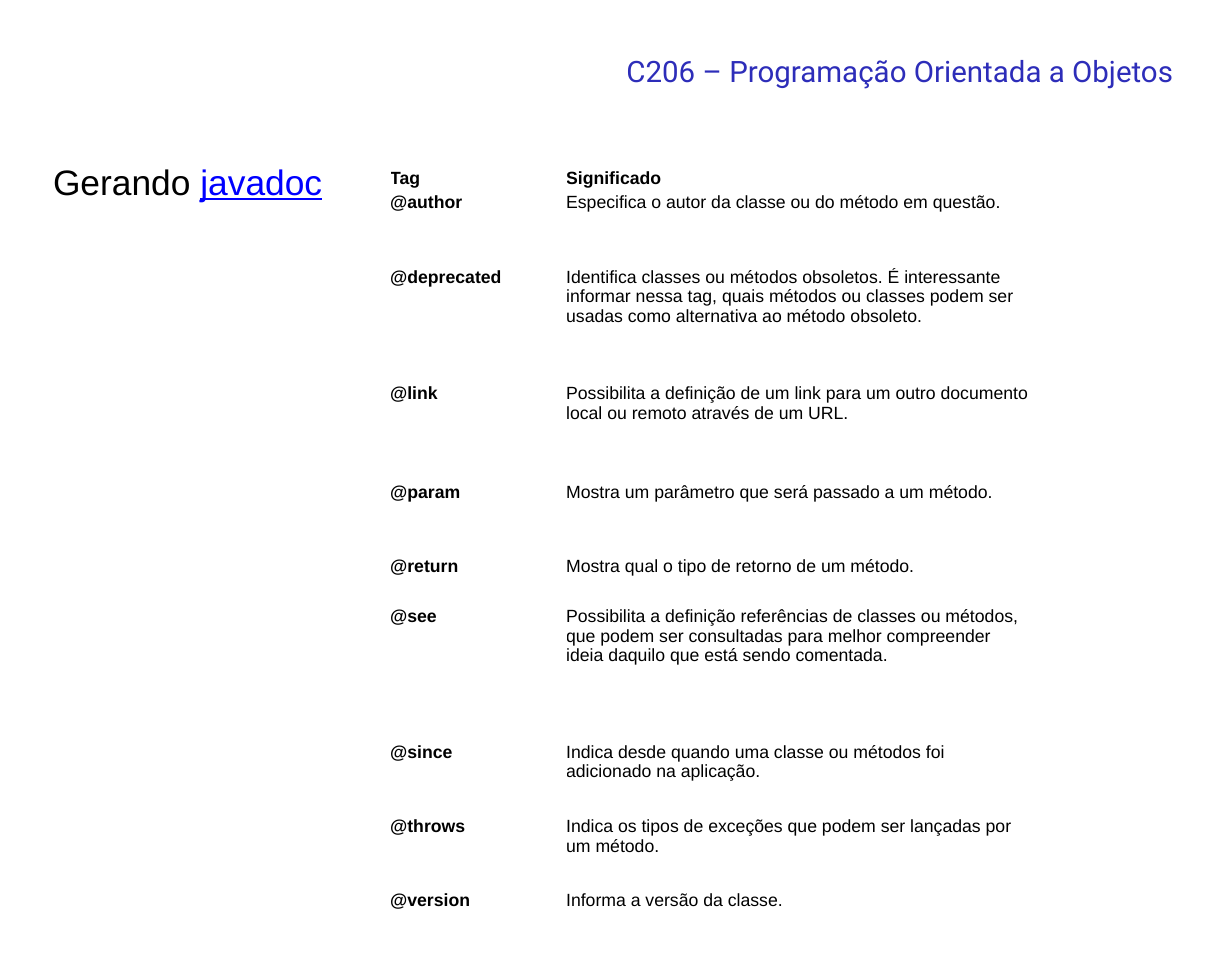
"""Build the javadoc tags slide."""
from typing import NamedTuple

from pptx import Presentation
from pptx.dml.color import RGBColor
from pptx.enum.text import MSO_ANCHOR, MSO_AUTO_SIZE, PP_ALIGN
from pptx.util import Inches, Pt

COLORS = {"text": "000000", "course": "2D2DB9", "link": "0000FF"}
COLUMN_WIDTHS = (1.66, 4.37)


class TagRow(NamedTuple):
    """One table row: tag, meaning and height in inches."""
    tag: str
    meaning: str
    height: float


ROWS = [
    TagRow("Tag", "Significado", 0.23),
    TagRow("@author", "Especifica o autor da classe ou do método em questão.", 0.7),
    TagRow("@deprecated", "Identifica classes ou métodos obsoletos. É interessante informar "
           "nessa tag, quais métodos ou classes podem ser usadas como alternativa ao método "
           "obsoleto.", 1.1),
    TagRow("@link", "Possibilita a definição de um link para um outro documento local ou "
           "remoto através de um URL.", 0.93),
    TagRow("@param", "Mostra um parâmetro que será passado a um método.", 0.7),
    TagRow("@return", "Mostra qual o tipo de retorno de um método.", 0.47),
    TagRow("@see", "Possibilita a definição referências de classes ou métodos, que podem ser "
           "consultadas para melhor compreender     ideia daquilo que está sendo "
           "comentada.", 1.28),
    TagRow("@since", "Indica desde quando uma classe ou métodos foi adicionado na aplicação.", 0.7),
    TagRow("@throws", "Indica os tipos de exceções que podem ser lançadas por um método.", 0.7),
    TagRow("@version", "Informa a versão da classe.", 0.23),
]


def format_span(span, size: float, color: str, name: str = "Arial", bold: bool = False) -> None:
    """Set the font of one run."""
    span.font.name = name
    span.font.size = Pt(size)
    span.font.bold = bold
    span.font.color.rgb = RGBColor.from_string(COLORS[color])


def add_course_name(page) -> None:
    """Write the course name at the top right."""
    box = page.shapes.add_textbox(Inches(5.81), Inches(0.45), Inches(5.76), Inches(0.43))
    box.text_frame.word_wrap = True
    box.text_frame.text = "C206 – Programação Orientada a Objetos"
    format_span(box.text_frame.paragraphs[0].runs[0], 20, "course", "Roboto")


def set_title(page) -> None:
    """Place and format the slide title."""
    title = page.shapes.title
    title.left, title.top = Inches(0.4), Inches(1.46)
    title.width, title.height = Inches(10.82), Inches(0.5)
    frame = title.text_frame
    frame.auto_size = MSO_AUTO_SIZE.NONE
    frame.vertical_anchor = MSO_ANCHOR.TOP
    para = frame.paragraphs[0]
    para.alignment = PP_ALIGN.JUSTIFY
    for text, color in (("Gerando ", "text"), ("javadoc", "link")):
        span = para.add_run()
        span.text = text
        format_span(span, 24, color)
        span.font.underline = color == "link"


def fill_cell(cell, text: str, bold: bool) -> None:
    """Write one table cell without margins or fill."""
    cell.margin_left = cell.margin_top = cell.margin_right = cell.margin_bottom = 0
    cell.fill.background()
    cell.text_frame.text = text
    format_span(cell.text_frame.paragraphs[0].runs[0], 12, "text", bold=bold)


def add_tag_table(page) -> None:
    """Add the table of javadoc tags."""
    table = page.shapes.add_table(
        len(ROWS), len(COLUMN_WIDTHS), Inches(3.68), Inches(1.59),
        Inches(sum(COLUMN_WIDTHS)), Inches(sum(row.height for row in ROWS))).table
    table.horz_banding = False
    table.first_row = False
    for column, width in zip(table.columns, COLUMN_WIDTHS):
        column.width = Inches(width)
    for index, row in enumerate(ROWS):
        table.rows[index].height = Inches(row.height)
        fill_cell(table.cell(index, 0), row.tag, bold=True)
        fill_cell(table.cell(index, 1), row.meaning, bold=index == 0)


def main() -> None:
    """Build and save the deck."""
    deck = Presentation()
    deck.slide_width, deck.slide_height = Inches(11.62), Inches(9)
    page = deck.slides.add_slide(deck.slide_layouts[5])
    add_course_name(page)
    set_title(page)
    add_tag_table(page)
    deck.save("out.pptx")


if __name__ == "__main__":
    main()
